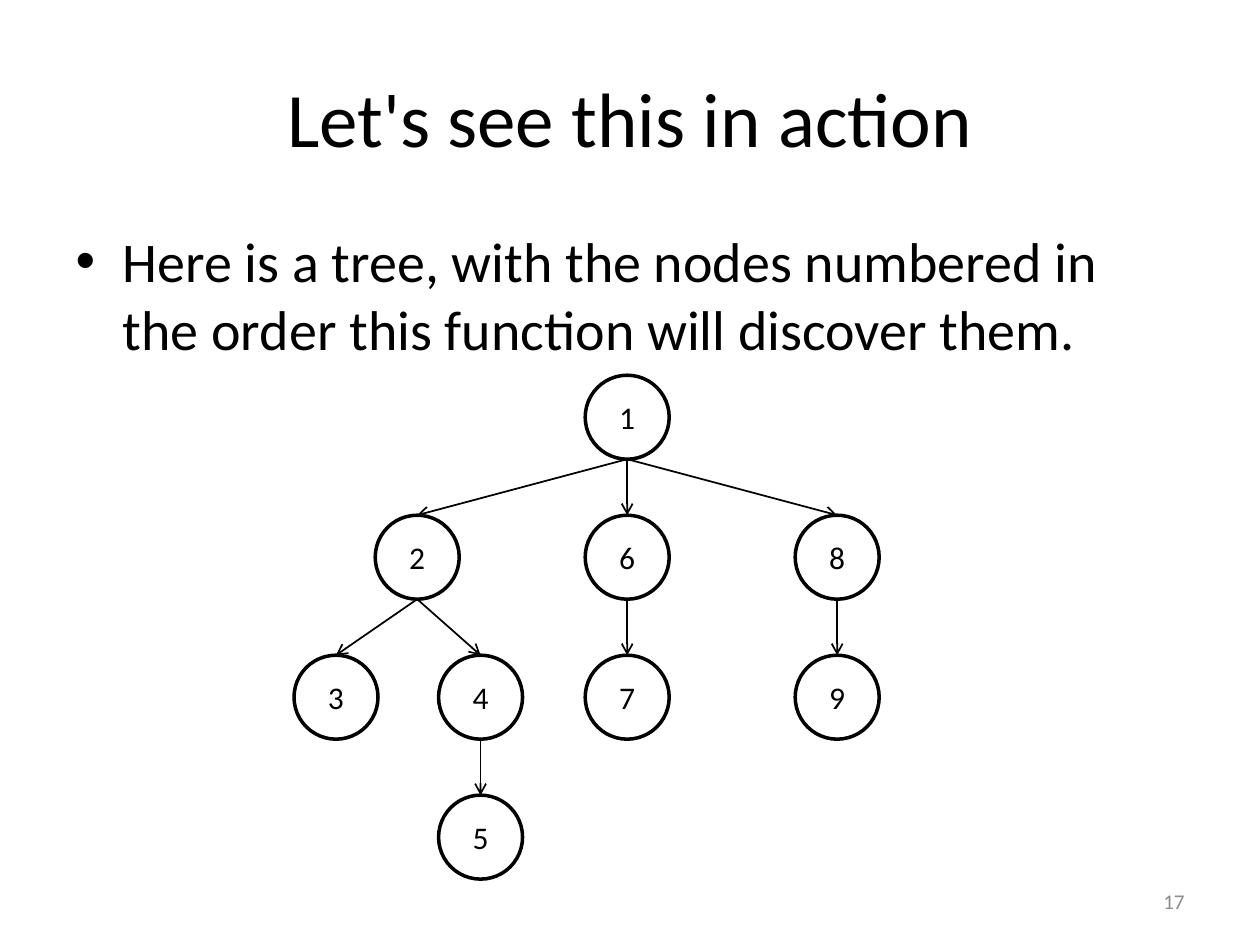
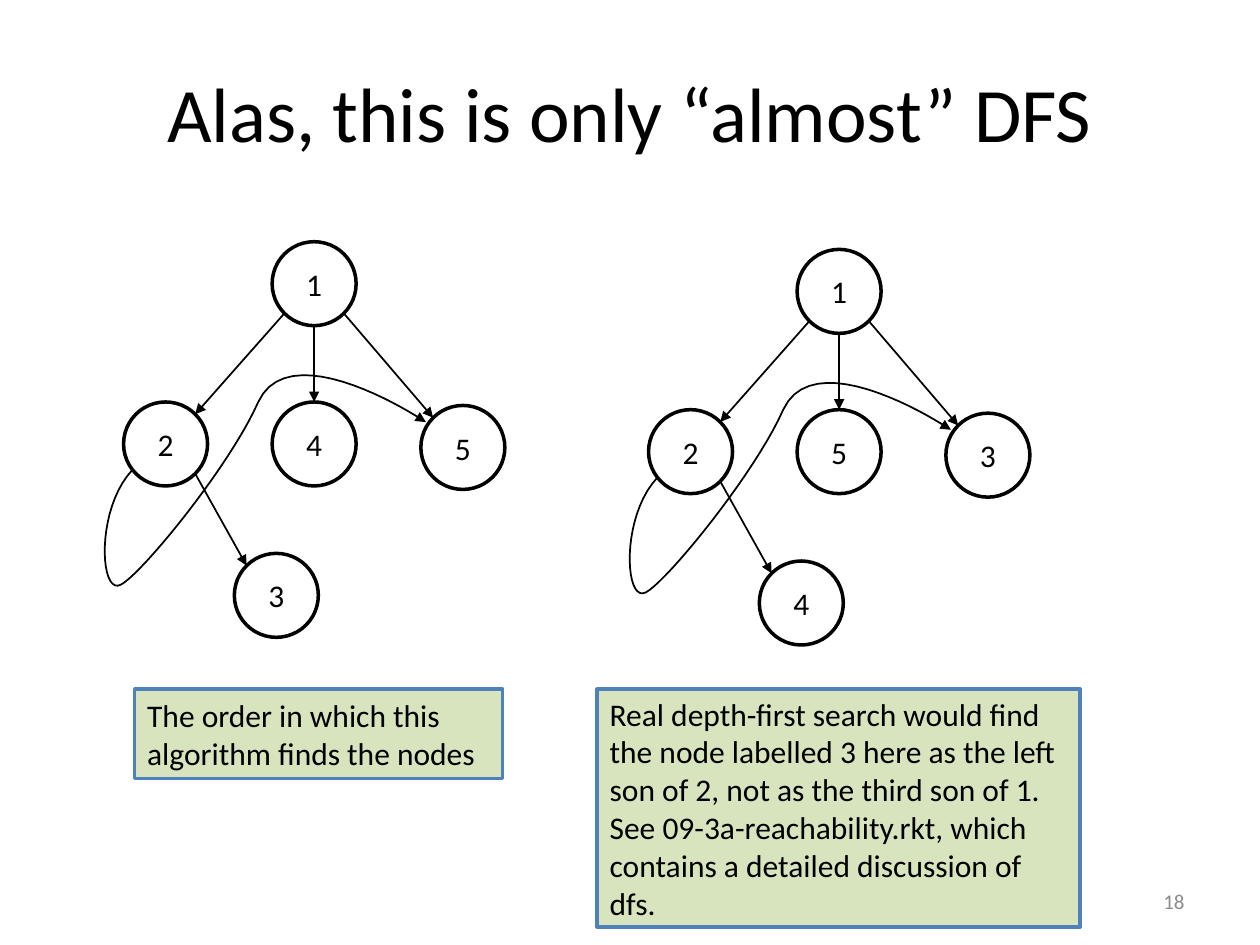
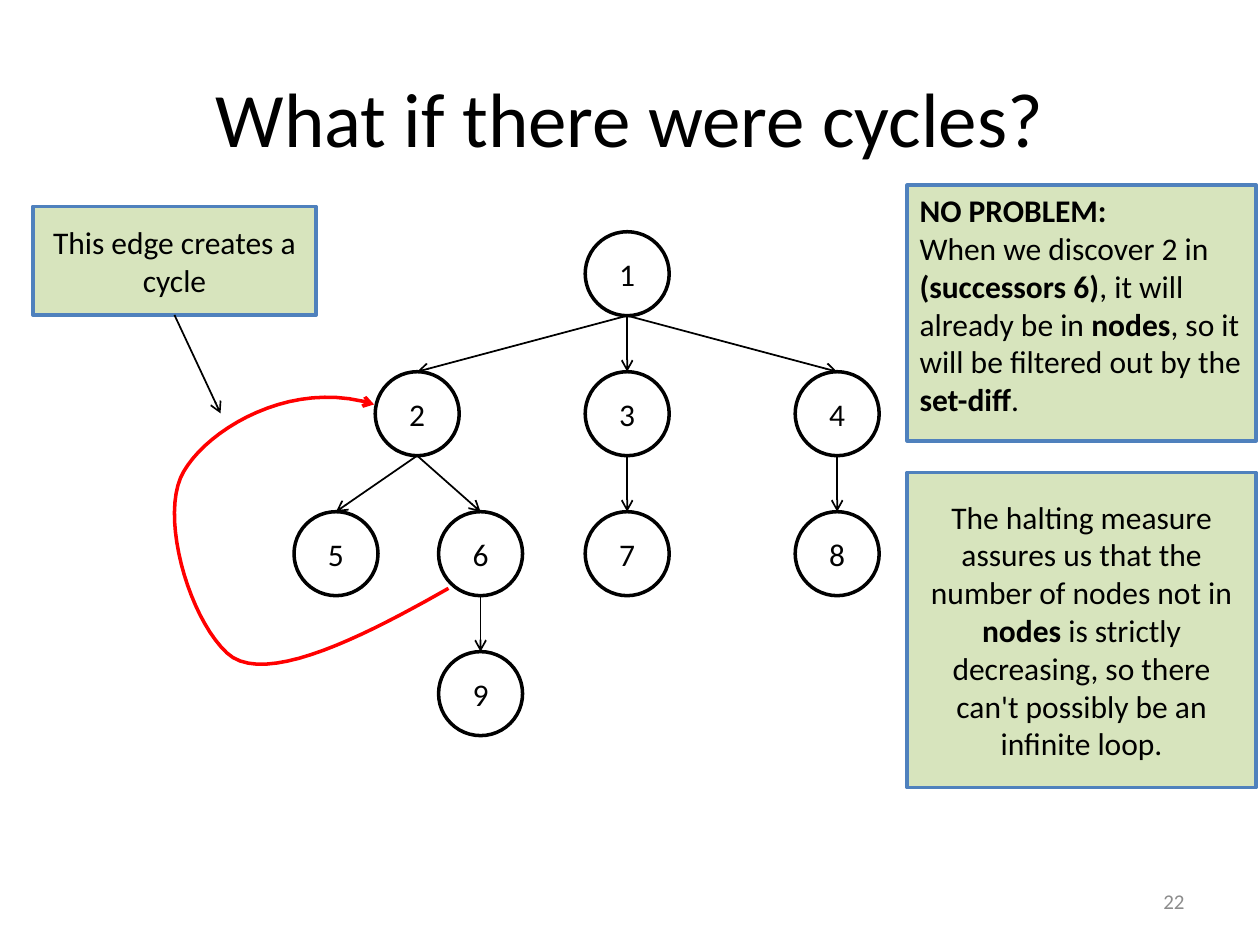
from dataclasses import dataclass
from math import sqrt

from lxml import etree
from pptx import Presentation
from pptx.dml.color import RGBColor
from pptx.enum.shapes import MSO_CONNECTOR, MSO_SHAPE
from pptx.enum.text import MSO_ANCHOR, PP_ALIGN
from pptx.oxml.ns import qn
from pptx.util import Pt

STRAIGHT = MSO_CONNECTOR.STRAIGHT
OVAL, RECTANGLE = MSO_SHAPE.OVAL, MSO_SHAPE.RECTANGLE
TOP, MIDDLE = MSO_ANCHOR.TOP, MSO_ANCHOR.MIDDLE
LEFT, CENTER, RIGHT = PP_ALIGN.LEFT, PP_ALIGN.CENTER, PP_ALIGN.RIGHT
TITLE_AND_BODY, TITLE_ONLY = 1, 5
BOTTOM_SIDE = 2


@dataclass(frozen=True)
class Theme:
    font: str = "Calibri"
    ink: RGBColor = RGBColor(0, 0, 0)
    paper: RGBColor = RGBColor(255, 255, 255)
    note_fill: RGBColor = RGBColor(0xD7, 0xE4, 0xBD)
    note_line: RGBColor = RGBColor(0x4F, 0x81, 0xBD)
    cycle: RGBColor = RGBColor(255, 0, 0)
    muted: RGBColor = RGBColor(0x8C, 0x8C, 0x8C)
    title_size: int = 44
    body_size: int = 32
    label_size: int = 18
    number_size: int = 12
    thin: int = 1
    thick: int = 2


THEME = Theme()
SLIDE_SIZE = (720, 540)
TITLE_BOX = (36, 21.6, 648, 90)
ALMOST_TITLE_BOX = (36, 18.7, 648, 90)
BODY_BOX = (36, 126, 648, 356.4)
NUMBER_BOX = (516, 500.5, 168, 28.75)

NODE = 48
LEVEL_STEP = 80
BRANCH_X = [238.4, 358.4, 478.4]
LEAF_X = [192, 274.6]

ACTION_TOP, CYCLES_TOP = 214.4, 132.4
TREE_SPOTS = {
    "root": (BRANCH_X[1], 0),
    "left": (BRANCH_X[0], 1),
    "middle": (BRANCH_X[1], 1),
    "right": (BRANCH_X[2], 1),
    "left-a": (LEAF_X[0], 2),
    "left-b": (LEAF_X[1], 2),
    "middle-a": (BRANCH_X[1], 2),
    "right-a": (BRANCH_X[2], 2),
    "deepest": (LEAF_X[1], 3),
}
TREE_EDGES = [
    ("root", "left"), ("root", "middle"), ("root", "right"),
    ("left", "left-a"), ("left", "left-b"), ("left-b", "deepest"),
    ("middle", "middle-a"), ("right", "right-a"),
]
DEPTH_FIRST = dict(zip(TREE_SPOTS, "126834795"))
BREADTH_FIRST = dict(zip(TREE_SPOTS, "123456789"))

GRAPH_SPOTS = {
    "root": (179.5, 162.1),
    "left": (94.6, 253.7),
    "middle": (179.5, 253.7),
    "right": (264.5, 255.7),
    "lower": (157.9, 340.2),
}
GRAPH_EDGES = [("root", "left"), ("root", "middle"), ("root", "right"), ("left", "lower")]
GRAPH_LOOP = [
    (75.6, 268.6),
    (54.7, 290.9), (56.9, 340.6), (69.1, 334.1),
    (81.4, 327.6), (131.8, 265.7), (147.6, 229.7),
    (164.2, 193.7), (228.2, 231.1), (243.4, 241.2),
]
GRAPHS = [("12453", (0, 0)), ("12534", (300, 4.4))]

CYCLE_LOOP = [
    (256.3, 336.2),
    (213.1, 360.7), (151.2, 393.8), (129.6, 373),
    (107.3, 352.1), (90.7, 293), (105.1, 269.3),
    (118.8, 245.5), (166.3, 216), (213.8, 231.1),
]
CYCLE_POINTER_END = (126, 236.2)

ACTION_TEXT = "Here is a tree, with the nodes numbered in the order this function will discover them."
ORDER_NOTE = [[("The order in which this algorithm finds the nodes", False)]]
REAL_DFS_NOTE = [
    [("Real depth-first search would find the node labelled 3 here as the left son of 2, "
      "not as the third son of 1.", False)],
    [("See 09-3a-reachability.rkt, which contains a detailed discussion of dfs.", False)],
]
EDGE_NOTE = [[("This edge creates a cycle", False)]]
NO_PROBLEM_NOTE = [
    [("NO PROBLEM:", True)],
    [("When we discover 2 in ", False), ("(successors 6)", True),
     (", it will already be in ", False), ("nodes", True),
     (", so it will be filtered out by the ", False), ("set-diff", True), (".", False)],
]
HALTING_NOTE = [[
    ("The halting measure assures us that the number of nodes not in ", False),
    ("nodes ", True),
    ("is strictly decreasing, so there can't possibly be an infinite loop.", False),
]]


def points(values):
    return [Pt(value) for value in values]


def place(placeholder, box):
    placeholder.left, placeholder.top, placeholder.width, placeholder.height = points(box)


def write(frame, paragraphs, size, color=THEME.ink, align=LEFT, anchor=MIDDLE):
    frame.word_wrap = True
    frame.vertical_anchor = anchor
    for index, runs in enumerate(paragraphs):
        paragraph = frame.add_paragraph() if index else frame.paragraphs[0]
        paragraph.alignment = align
        paragraph.space_before = Pt(0)
        for text, bold in runs:
            run = paragraph.add_run()
            run.text = text
            run.font.name = THEME.font
            run.font.size = Pt(size)
            run.font.bold = bold
            run.font.color.rgb = color


def add_page(deck, layout, title, number, title_box=TITLE_BOX):
    slide = deck.slides.add_slide(deck.slide_layouts[layout])
    place(slide.shapes.title, title_box)
    write(slide.shapes.title.text_frame, [[(title, False)]], THEME.title_size, align=CENTER)
    number_box = slide.shapes.add_textbox(*points(NUMBER_BOX))
    write(number_box.text_frame, [[(number, False)]], THEME.number_size, THEME.muted, RIGHT)
    return slide


def add_panel(shapes, preset, box, fill, outline):
    panel = shapes.add_shape(preset, *points(box))
    panel.shadow.inherit = False
    panel.fill.solid()
    panel.fill.fore_color.rgb = fill
    panel.line.color.rgb = outline
    panel.line.width = Pt(THEME.thick)
    return panel


def add_note(shapes, box, paragraphs, align=LEFT, anchor=MIDDLE):
    note = add_panel(shapes, RECTANGLE, box, THEME.note_fill, THEME.note_line)
    write(note.text_frame, paragraphs, THEME.label_size, align=align, anchor=anchor)
    return note


def add_node(shapes, center, label):
    x, y = center
    box = (x - NODE / 2, y - NODE / 2, NODE, NODE)
    node = add_panel(shapes, OVAL, box, THEME.paper, THEME.ink)
    write(node.text_frame, [[(label, False)]], THEME.label_size, align=CENTER)


def style_arrow(arrow, head, color, width):
    arrow.line.color.rgb = color
    arrow.line.width = Pt(width)
    properties = arrow.element.spPr
    etree.SubElement(properties.find(qn("a:ln")), qn("a:tailEnd"), type=head)


def add_arrow(shapes, start, end, head):
    arrow = shapes.add_connector(STRAIGHT, *points((*start, *end)))
    style_arrow(arrow, head, THEME.ink, THEME.thin)
    etree.SubElement(arrow.element.spPr, qn("a:effectLst"))
    return arrow


def curve_points(controls, steps=20):
    traced = [controls[0]]
    for first in range(0, len(controls) - 1, 3):
        a, b, c, d = controls[first:first + 4]
        for step in range(1, steps + 1):
            t = step / steps
            weights = ((1 - t) ** 3, 3 * t * (1 - t) ** 2, 3 * t ** 2 * (1 - t), t ** 3)
            traced.append(tuple(
                sum(w * value for w, value in zip(weights, axis)) for axis in zip(a, b, c, d)
            ))
    return traced


def add_loop(shapes, controls, head, color, width):
    start, *rest = [tuple(points(point)) for point in curve_points(controls)]
    builder = shapes.build_freeform(*start)
    builder.add_line_segments(rest, close=False)
    loop = builder.convert_to_shape()
    loop.shadow.inherit = False
    loop.fill.background()
    style_arrow(loop, head, color, width)


def edge_ends(parent, child, diagonal):
    (px, py), (cx, cy) = parent, child
    radius = NODE / 2
    if not diagonal or px == cx:
        return (px, py + radius), (cx, cy - radius)
    reach = radius / sqrt(2)
    side = reach if cx > px else -reach
    return (px + side, py + reach), (cx - side, cy - reach)


def add_graph(shapes, spots, labels, edges, head, diagonal):
    for name, center in spots.items():
        add_node(shapes, center, labels[name])
    for parent, child in edges:
        add_arrow(shapes, *edge_ends(spots[parent], spots[child], diagonal), head)


def add_tree(slide, top, labels):
    spots = {
        name: (x, top + NODE / 2 + level * LEVEL_STEP)
        for name, (x, level) in TREE_SPOTS.items()
    }
    tree = slide.shapes.add_group_shape().shapes
    add_graph(tree, spots, labels, TREE_EDGES, "arrow", diagonal=False)


def build_action(deck):
    slide = add_page(deck, TITLE_AND_BODY, "Let's see this in action", "17")
    body = slide.placeholders[1]
    place(body, BODY_BOX)
    write(body.text_frame, [[(ACTION_TEXT, False)]], THEME.body_size, anchor=TOP)
    add_tree(slide, ACTION_TOP, DEPTH_FIRST)


def build_almost(deck):
    slide = add_page(deck, TITLE_ONLY, "Alas, this is only “almost” DFS", "18", ALMOST_TITLE_BOX)
    for order, (dx, dy) in GRAPHS:
        graph = slide.shapes.add_group_shape().shapes
        spots = {name: (x + dx, y + dy) for name, (x, y) in GRAPH_SPOTS.items()}
        labels = dict(zip(GRAPH_SPOTS, order))
        add_graph(graph, spots, labels, GRAPH_EDGES, "triangle", diagonal=True)
        loop = [(x + dx, y + dy) for x, y in GRAPH_LOOP]
        add_loop(graph, loop, "triangle", THEME.ink, THEME.thin)
    add_note(slide.shapes, (77, 393.8, 210.2, 51), ORDER_NOTE)
    add_note(slide.shapes, (341.3, 393.8, 276, 136), REAL_DFS_NOTE)


def build_cycles(deck):
    slide = add_page(deck, TITLE_ONLY, "What if there were cycles?", "22")
    add_tree(slide, CYCLES_TOP, BREADTH_FIRST)
    add_loop(slide.shapes, CYCLE_LOOP, "arrow", THEME.cycle, THEME.thick)
    edge_note = add_note(slide.shapes, (18.7, 118, 162, 62), EDGE_NOTE, CENTER)
    pointer = add_arrow(slide.shapes, (99.7, 180), CYCLE_POINTER_END, "arrow")
    pointer.begin_connect(edge_note, BOTTOM_SIDE)
    add_note(slide.shapes, (518.4, 105.8, 199.4, 146.2), NO_PROBLEM_NOTE, anchor=TOP)
    add_note(slide.shapes, (518.4, 270, 199.4, 180), HALTING_NOTE, CENTER)


def main():
    deck = Presentation()
    deck.slide_width, deck.slide_height = points(SLIDE_SIZE)
    build_action(deck)
    build_almost(deck)
    build_cycles(deck)
    deck.save("out.pptx")


if __name__ == "__main__":
    main()
